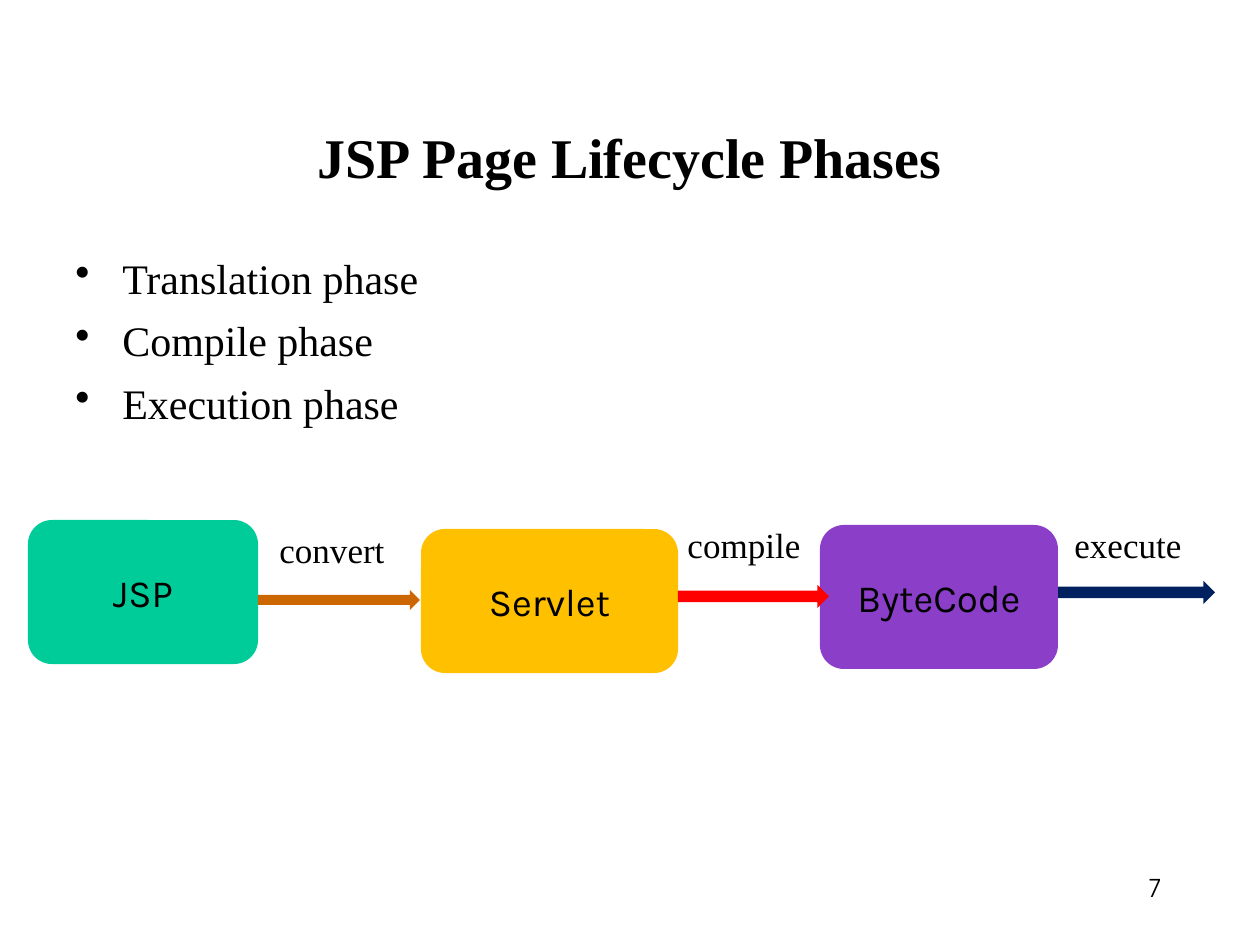
from pptx import Presentation
from pptx.dml.color import RGBColor
from pptx.enum.shapes import MSO_SHAPE
from pptx.enum.text import MSO_ANCHOR, PP_ALIGN
from pptx.oxml.ns import qn
from pptx.util import Emu, Pt


def px(n):
    return Emu(round(n * 914400 / 126))


def rgb(value):
    return RGBColor.from_string(value)


class Deck:
    """Holds the text style and the current slide."""

    serif, sans, number = "Times New Roman", "Karla", "TeX Gyre Adventor"
    ink = "000000"

    def __init__(self, w, h):
        self.prs = Presentation()
        self.prs.slide_width, self.prs.slide_height = px(w), px(h)
        self.s = self.prs.slides.add_slide(self.prs.slide_layouts[5])

    def set_text(self, sp, lines, size, font, bold=False, align=PP_ALIGN.CENTER, anchor=MSO_ANCHOR.TOP):
        tf = sp.text_frame
        tf.text = "\n".join(lines)
        tf.word_wrap = True
        tf.vertical_anchor = anchor
        for p in tf.paragraphs:
            p.alignment = align
            p.font.size, p.font.name, p.font.bold = Pt(size), font, bold
            p.font.color.rgb = rgb(self.ink)
        return tf

    def title(self, x, y, w, h, text):
        sp = self.s.shapes.title
        sp.left, sp.top, sp.width, sp.height = px(x), px(y), px(w), px(h)
        self.set_text(sp, [text], 32, self.serif, bold=True)

    def text(self, x, y, w, h, lines, size, font, align=PP_ALIGN.CENTER):
        sp = self.s.shapes.add_textbox(px(x), px(y), px(w), px(h))
        return self.set_text(sp, lines, size, font, align=align)

    def bullets(self, x, y, w, h, lines):
        tf = self.text(x, y, w, h, lines, 24, self.serif, PP_ALIGN.LEFT)
        for p in tf.paragraphs:
            p.space_before = Pt(7)
            pPr = p._p.get_or_add_pPr()
            pPr.set("marL", str(px(47)))
            pPr.set("indent", str(-px(47)))
            bullet = pPr.makeelement(qn("a:buChar"), {"char": "•"})
            pPr.insert_element_before(bullet, "a:tabLst", "a:defRPr", "a:extLst")

    def shape(self, kind, x, y, w, h, fill):
        sp = self.s.shapes.add_shape(kind, px(x), px(y), px(w), px(h))
        sp.shadow.inherit = False
        sp.fill.solid()
        sp.fill.fore_color.rgb = rgb(fill)
        sp.line.fill.background()
        return sp

    def box(self, x, y, w, h, fill, text):
        sp = self.shape(MSO_SHAPE.ROUNDED_RECTANGLE, x, y, w, h, fill)
        self.set_text(sp, [text], 22, self.sans, anchor=MSO_ANCHOR.MIDDLE)

    def arrow(self, x, y, w, h, fill):
        self.shape(MSO_SHAPE.RIGHT_ARROW, x, y, w, h, fill)

    def page_number(self, x, y, w, h, text):
        tf = self.text(x, y, w, h, [text], 14, self.number)
        tf.paragraphs[0].line_spacing = 1.5


def main():
    d = Deck(1260, 945)
    d.page_number(1121, 852, 68, 77, "7")
    d.title(63, 116, 1134, 79, "JSP Page Lifecycle Phases")
    d.bullets(63, 246, 1134, 210, ["Translation phase", "Compile phase", "Execution phase"])
    for x, y, w, fill, text in [
        (28, 520, 230, "00CC99", "JSP"),
        (421, 529, 257, "FFC000", "Servlet"),
        (820, 525, 238, "8B3FC9", "ByteCode"),
    ]:
        d.box(x, y, w, 144, fill, text)
    for x, y, w, h, fill in [
        (258, 590, 162, 20, "CC6600"),
        (678, 585, 151, 23, "FF0000"),
        (1058, 581, 157, 23, "002060"),
    ]:
        d.arrow(x, y, w, h, fill)
    for x, y, text in [(244, 522, "convert"), (656, 517, "compile"), (1040, 517, "execute")]:
        d.text(x, y, 176, 55, [text], 20, d.serif)
    d.prs.save("out.pptx")


if __name__ == "__main__":
    main()
